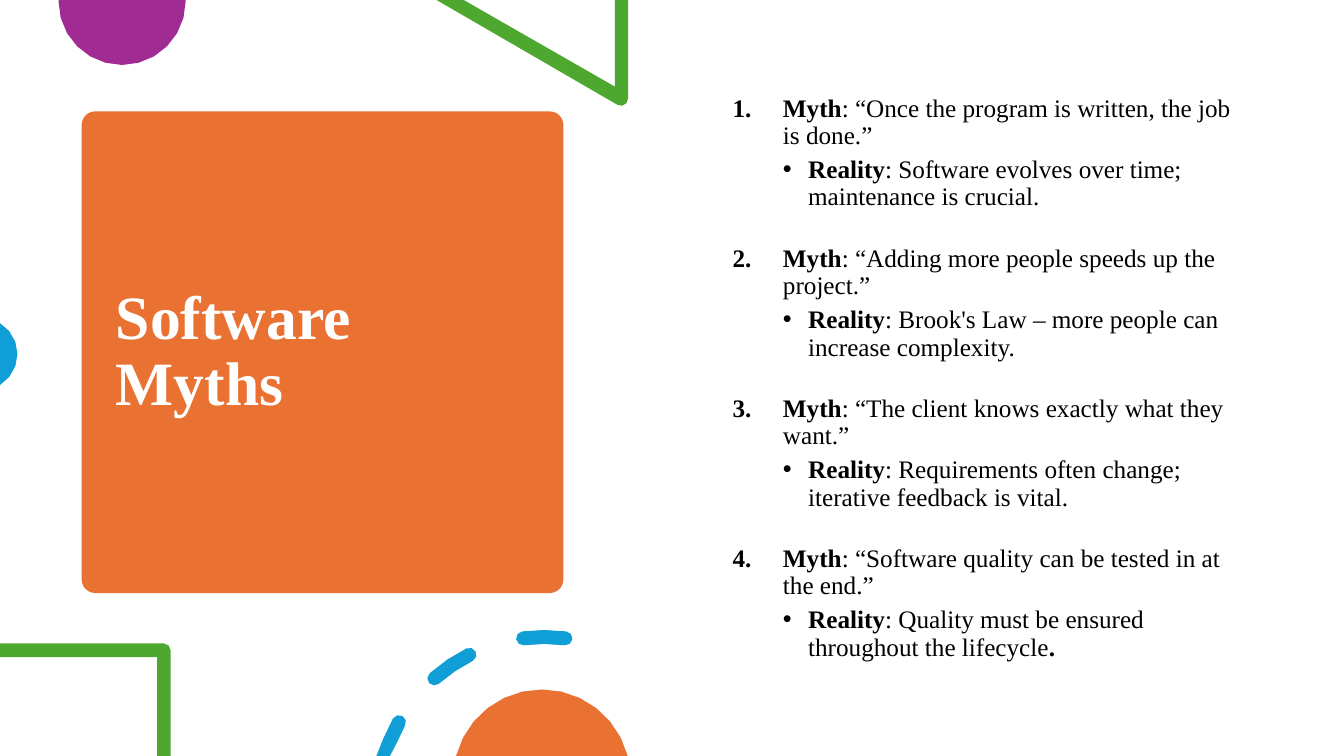
import math
from dataclasses import dataclass

import pptx
import pptx.dml.color
import pptx.enum.shapes
import pptx.enum.text
import pptx.oxml
import pptx.oxml.ns
import pptx.slide
import pptx.text.text
import pptx.util

Pt = pptx.util.Pt
Point = tuple[float, float]
Contour = list[Point]

COLORS = {
    "orange": "E97132",
    "purple": "A02B93",
    "green": "4EA72E",
    "blue": "0F9ED5",
    "white": "FFFFFF",
    "black": "000000",
}
FONT = "Times New Roman"
PAGE_WIDTH, PAGE_HEIGHT = 960, 540
ARC_TOLERANCE = 0.4


@dataclass
class Ornament:
    color: str
    contours: list[Contour]


@dataclass
class Marker:
    level: int
    margin: float
    indent: float
    tag: str
    attribute: str
    value: str
    typeface: str = ""


@dataclass
class Myth:
    claim: str
    reality: str
    ending: str = ""


NUMBER = Marker(1, 72, -36, "a:buAutoNum", "type", "arabicPeriod")
BULLET = Marker(2, 90, -18, "a:buChar", "char", "•", "Arial")

MYTHS = [
    Myth("“Once the program is written, the job is done.”",
         "Software evolves over time; maintenance is crucial."),
    Myth("“Adding more people speeds up the project.”",
         "Brook's Law – more people can increase complexity."),
    Myth("“The client knows exactly what they want.”",
         "Requirements often change; iterative feedback is vital."),
    Myth("“Software quality can be tested in at the end.”",
         "Quality must be ensured throughout the lifecycle", "."),
]


def color_of(name: str) -> pptx.dml.color.RGBColor:
    return pptx.dml.color.RGBColor.from_string(COLORS[name])


def polar(center: Point, radius: float, degrees: float) -> Point:
    angle = math.radians(degrees)
    return center[0] + radius * math.cos(angle), center[1] + radius * math.sin(angle)


def arc(center: Point, radius: float, start: float, end: float) -> Contour:
    widest = 2 * math.degrees(math.acos(1 - ARC_TOLERANCE / radius))
    steps = math.ceil(abs(end - start) / widest)
    return [polar(center, radius, start + (end - start) * step / steps)
            for step in range(steps + 1)]


def clip(contour: Contour) -> Contour:
    return [(min(max(x, 0), PAGE_WIDTH), min(max(y, 0), PAGE_HEIGHT)) for x, y in contour]


def dash(center: Point, radius: float, half: float, start: float, sweep: float) -> Contour:
    end = start + sweep
    return clip(
        arc(center, radius + half, start, end)
        + arc(polar(center, radius, end), half, end, end + 180)[1:-1]
        + arc(center, radius - half, end, start)
        + arc(polar(center, radius, start), half, start + 180, start + 360)[1:-1]
    )


ORNAMENTS = [
    Ornament("purple", [[(132.6, 0), (41.9, 0)] + arc((87.2, 1), 45.4, 180, 0)]),
    Ornament("green", [[(448.6, 0), (439.2, 0), (439.2, 61.9), (331.2, 0), (311.8, 0)]
                       + arc((443.6, 70.6), 5, 120, 0)]),
    Ornament("blue", [clip(arc((-13.3, 252.9), 25.8, 58.9, -58.9))]),
    Ornament("green", [[(0, 459.6), (0, 469.4), (112.3, 469.4), (112.3, 540), (121.8, 540)]
                       + arc((117, 464.4), 4.8, 0, -90)]),
    Ornament("blue", [dash((388.8, 574), 119, 5, 194.7 + 34 * index, 14.6)
                      for index in range(3)]),
    Ornament("orange", [clip(arc((387.1, 555.8), 63.3, 194.4, 345.6))]),
]


def paint(shape, color: str) -> None:
    shape.fill.solid()
    shape.fill.fore_color.rgb = color_of(color)
    shape.line.fill.background()
    shape.shadow.inherit = False


def draw_ornament(page: pptx.slide.Slide, ornament: Ornament) -> None:
    outlines = [[(Pt(x), Pt(y)) for x, y in contour] for contour in ornament.contours]
    builder = page.shapes.build_freeform(*outlines[0][0])
    for index, outline in enumerate(outlines):
        if index:
            builder.move_to(*outline[0])
        builder.add_line_segments(outline[1:], close=True)
    paint(builder.convert_to_shape(), ornament.color)


def set_font(para: pptx.text.text._Paragraph, size: float, color: str) -> None:
    para.font.name = FONT
    para.font.size = Pt(size)
    para.font.color.rgb = color_of(color)
    para.line_spacing = 0.9


def add_property(properties, tag: str, attribute: str, value: str) -> None:
    element = pptx.oxml.parse_xml(f'<{tag} {pptx.oxml.ns.nsdecls("a")}/>')
    element.set(attribute, value)
    properties.append(element)


def mark(para: pptx.text.text._Paragraph, marker: Marker) -> None:
    para.level = marker.level
    para.space_before = Pt(5)
    properties = para._p.get_or_add_pPr()
    properties.set("marL", str(Pt(marker.margin)))
    properties.set("indent", str(Pt(marker.indent)))
    if marker.typeface:
        add_property(properties, "a:buFont", "typeface", marker.typeface)
    add_property(properties, marker.tag, marker.attribute, marker.value)


def add_span(para: pptx.text.text._Paragraph, text: str, bold: bool) -> None:
    span = para.add_run()
    span.text = text
    span.font.bold = bold


def add_item(para: pptx.text.text._Paragraph, marker: Marker, label: str, text: str) -> None:
    mark(para, marker)
    set_font(para, 18, "black")
    add_span(para, label, True)
    add_span(para, f": {text}", False)


def draw_title(page: pptx.slide.Slide) -> None:
    panel = page.shapes.add_shape(
        pptx.enum.shapes.MSO_SHAPE.ROUNDED_RECTANGLE, Pt(58.4), Pt(79.6), Pt(344), Pt(344))
    panel.adjustments[0] = 0.028
    paint(panel, "orange")
    title = page.shapes.title
    title.left, title.top, title.width, title.height = Pt(75.6), Pt(87.8), Pt(310), Pt(328)
    frame = title.text_frame
    frame.text = "Software Myths"
    frame.word_wrap = True
    frame.auto_size = pptx.enum.text.MSO_AUTO_SIZE.NONE
    frame.vertical_anchor = pptx.enum.text.MSO_ANCHOR.MIDDLE
    frame.margin_right = Pt(12)
    para = frame.paragraphs[0]
    para.alignment = pptx.enum.text.PP_ALIGN.LEFT
    set_font(para, 44, "white")
    para.font.bold = True
    page.shapes._spTree.append(title._element)


def draw_myths(page: pptx.slide.Slide) -> None:
    box = page.shapes.add_textbox(Pt(480.2), Pt(64.7), Pt(414), Pt(450))
    frame = box.text_frame
    frame.word_wrap = True
    for index, myth in enumerate(MYTHS):
        para = frame.add_paragraph() if index else frame.paragraphs[0]
        add_item(para, NUMBER, "Myth", myth.claim)
        para = frame.add_paragraph()
        add_item(para, BULLET, "Reality", myth.reality)
        if myth.ending:
            add_span(para, myth.ending, True)
        else:
            para.add_line_break()


def main() -> None:
    deck = pptx.Presentation()
    deck.slide_width, deck.slide_height = Pt(PAGE_WIDTH), Pt(PAGE_HEIGHT)
    page = deck.slides.add_slide(deck.slide_layouts.get_by_name("Title Only"))
    draw_title(page)
    for ornament in ORNAMENTS:
        draw_ornament(page, ornament)
    draw_myths(page)
    deck.save("out.pptx")


if __name__ == "__main__":
    main()
